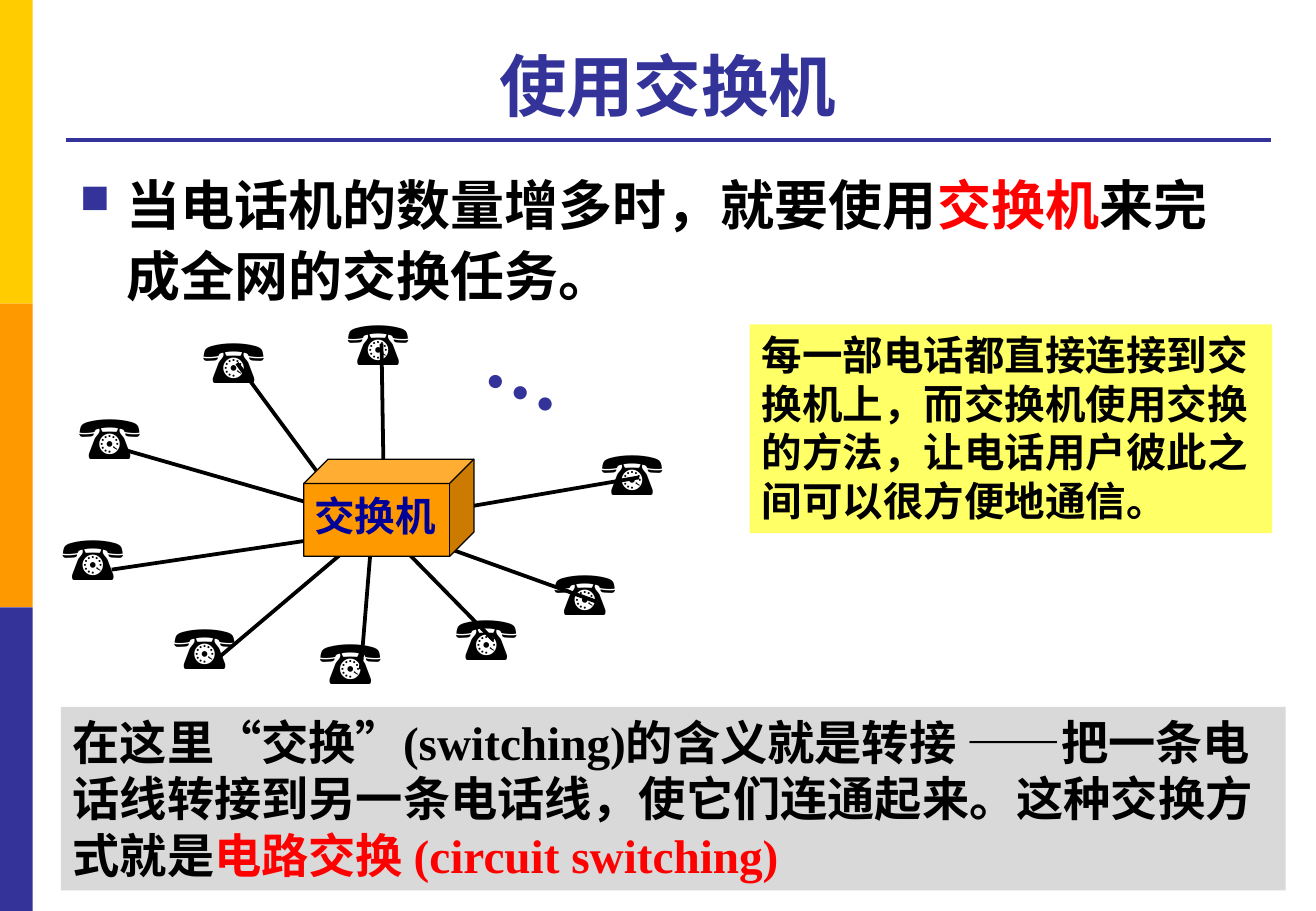
import pptx
import pptx.util
import pptx.dml.color
import pptx.enum.lang
import pptx.enum.shapes
import pptx.enum.text
import pptx.oxml
from pptx.oxml.ns import qn

THEME = {
    "font": "Times New Roman",
    "gold": "FFCC00", "orange": "FF9900", "indigo": "333399", "navy": "000099",
    "black": "000000", "red": "FF0000", "yellow": "FFFF66", "grey": "D9D9D9",
    "title": 40, "body": 32, "note": 24, "meaning": 28, "phone": 36, "dots": 48,
    "wire": 2.25, "outline": 0.75,
}

TITLE = [("使用交换机", "indigo")]
BODY = [
    ("当电话机的数量增多时，就要使用", "black"),
    ("交换机", "red"),
    ("来完成全网的交换任务。", "black"),
]
NOTE = [("每一部电话都直接连接到交换机上，而交换机使用交换的方法，"
         "让电话用户彼此之间可以很方便地通信。", "black")]
MEANING = [
    ("在这里“交换”(switching)的含义就是转接 ——把一条电话线转接到另一条电话线，"
     "使它们连通起来。这种交换方式就是", "black"),
    ("电路交换 (circuit switching)", "red"),
]
SWITCH = [("交换机", "navy")]
PHONE = [("☎", "black")]
DOTS = [("…", "indigo")]

# percent = None
STRIPES = ["gold", "orange", "indigo"]
STRIPE_WIDTH = 2.49
RULE = ((4.99, 15.33), (96.58, 15.33))
TITLE_AREA = (4.99, 2.8, 91.5, 11.6)
BODY_AREA = (5.17, 17.47, 91.5, 15.73)
NOTE_AREA = (56.97, 35.6, 39.7, 22.93)
MEANING_AREA = (4.62, 77.6, 93.07, 20.13)
CUBE_AREA = (23.08, 50.4, 12.93, 10.67)
SWITCH_AREA = (22.99, 53.2, 11.17, 6.67)
DOTS_AREA = (36.38, 34.53, 8.13, 12.13)
DOTS_TILT = 24.3
PHONE_SIZE = (8.13, 9.47)
PHONE_LINES = [
    ((41.18, 60.27), (45.24, 66.0), (31.39, 58.8)),
    ((23.36, 67.87), (27.42, 73.47), (28.25, 58.8)),
    ((3.79, 56.4), (8.49, 62.53), (25.85, 58.8)),
    ((14.5, 34.8), (18.01, 39.87), (24.75, 53.07)),
    ((25.48, 32.8), (28.99, 37.73), (29.18, 54.67)),
    ((44.78, 47.07), (48.57, 52.4), (32.96, 56.27)),
    ((5.08, 43.07), (9.33, 49.33), (25.39, 56.0)),
    ((12.28, 66.13), (16.44, 72.4), (26.69, 59.87)),
    ((33.7, 65.2), (37.49, 70.27), (28.25, 56.67)),
]

deck = pptx.Presentation()
deck.slide_width = pptx.util.Inches(10.83)
deck.slide_height = pptx.util.Inches(7.5)
slide = deck.slides.add_slide(deck.slide_layouts[6])


def color(name):
    return pptx.dml.color.RGBColor.from_string(THEME[name])


def place(*shares):
    sides = (deck.slide_width, deck.slide_height)
    return [int(sides[i % 2] * share / 100) for i, share in enumerate(shares)]


def add_block(area, fill, preset="RECTANGLE", outline=None):
    kind = getattr(pptx.enum.shapes.MSO_SHAPE, preset)
    block = slide.shapes.add_shape(kind, *place(*area))
    block.shadow.inherit = False
    block.fill.solid()
    block.fill.fore_color.rgb = color(fill)
    if outline:
        block.line.color.rgb = color(outline)
        block.line.width = pptx.util.Pt(THEME["outline"])
    else:
        block.line.fill.background()
    return block


def add_wire(start, end, tint):
    wire = slide.shapes.add_connector(
        pptx.enum.shapes.MSO_CONNECTOR.STRAIGHT, *place(*start, *end))
    wire.line.color.rgb = color(tint)
    wire.line.width = pptx.util.Pt(THEME["wire"])
    wire._element.spPr.append(pptx.oxml.parse_xml(
        '<a:effectLst xmlns:a="http://schemas.openxmlformats.org/drawingml/2006/main"/>'))


def write(holder, pieces, size, bold=True, wrap=True, grow=True, align="LEFT", anchor="TOP"):
    frame = holder.text_frame
    frame.word_wrap = wrap
    fit = pptx.enum.text.MSO_AUTO_SIZE
    frame.auto_size = fit.SHAPE_TO_FIT_TEXT if grow else fit.NONE
    frame.vertical_anchor = getattr(pptx.enum.text.MSO_ANCHOR, anchor)
    paragraph = frame.paragraphs[0]
    paragraph.alignment = getattr(pptx.enum.text.PP_ALIGN, align)
    for words, tint in pieces:
        run = paragraph.add_run()
        run.text = words
        run.font.name = THEME["font"]
        run.font.size = pptx.util.Pt(THEME[size])
        run.font.bold = bold
        run.font.color.rgb = color(tint)
        run.font.language_id = pptx.enum.lang.MSO_LANGUAGE_ID.SIMPLIFIED_CHINESE
    return paragraph


def add_text(area, pieces, size, **style):
    box = slide.shapes.add_textbox(*place(*area))
    return box, write(box, pieces, size, **style)


def add_bullet(paragraph):
    properties = paragraph._p.get_or_add_pPr()
    indent = pptx.util.Inches(0.38)
    properties.set("marL", str(indent))
    properties.set("indent", str(-indent))
    for tag, attribute, value in (("buSzPct", "val", "75000"), ("buChar", "char", "■")):
        properties.append(properties.makeelement(qn("a:" + tag), {attribute: value}))
    tint = properties.makeelement(qn("a:buClr"), {})
    tint.append(tint.makeelement(qn("a:srgbClr"), {"val": THEME["indigo"]}))
    properties.find(qn("a:buSzPct")).addprevious(tint)


stripe_height = 100 / len(STRIPES)
for row, tint in enumerate(STRIPES):
    add_block((0, row * stripe_height, STRIPE_WIDTH, stripe_height), tint)
add_wire(*RULE, "indigo")

add_text(TITLE_AREA, TITLE, "title", grow=False, align="CENTER", anchor="BOTTOM")
_, task = add_text(BODY_AREA, BODY, "body", grow=False)
add_bullet(task)
task.line_spacing = 1.1

for _, phone_end, switch_end in PHONE_LINES:
    add_wire(phone_end, switch_end, "black")
dots, _ = add_text(DOTS_AREA, DOTS, "dots", wrap=False)
dots.rotation = DOTS_TILT
for corner, _, _ in PHONE_LINES:
    add_text((*corner, *PHONE_SIZE), PHONE, "phone", bold=False, wrap=False)

cube = add_block(CUBE_AREA, "orange", preset="CUBE", outline="black")
cube.adjustments[0] = 0.25
add_text(SWITCH_AREA, SWITCH, "note", wrap=False)

write(add_block(NOTE_AREA, "yellow"), NOTE, "note")
write(add_block(MEANING_AREA, "grey"), MEANING, "meaning")

deck.save("out.pptx")
